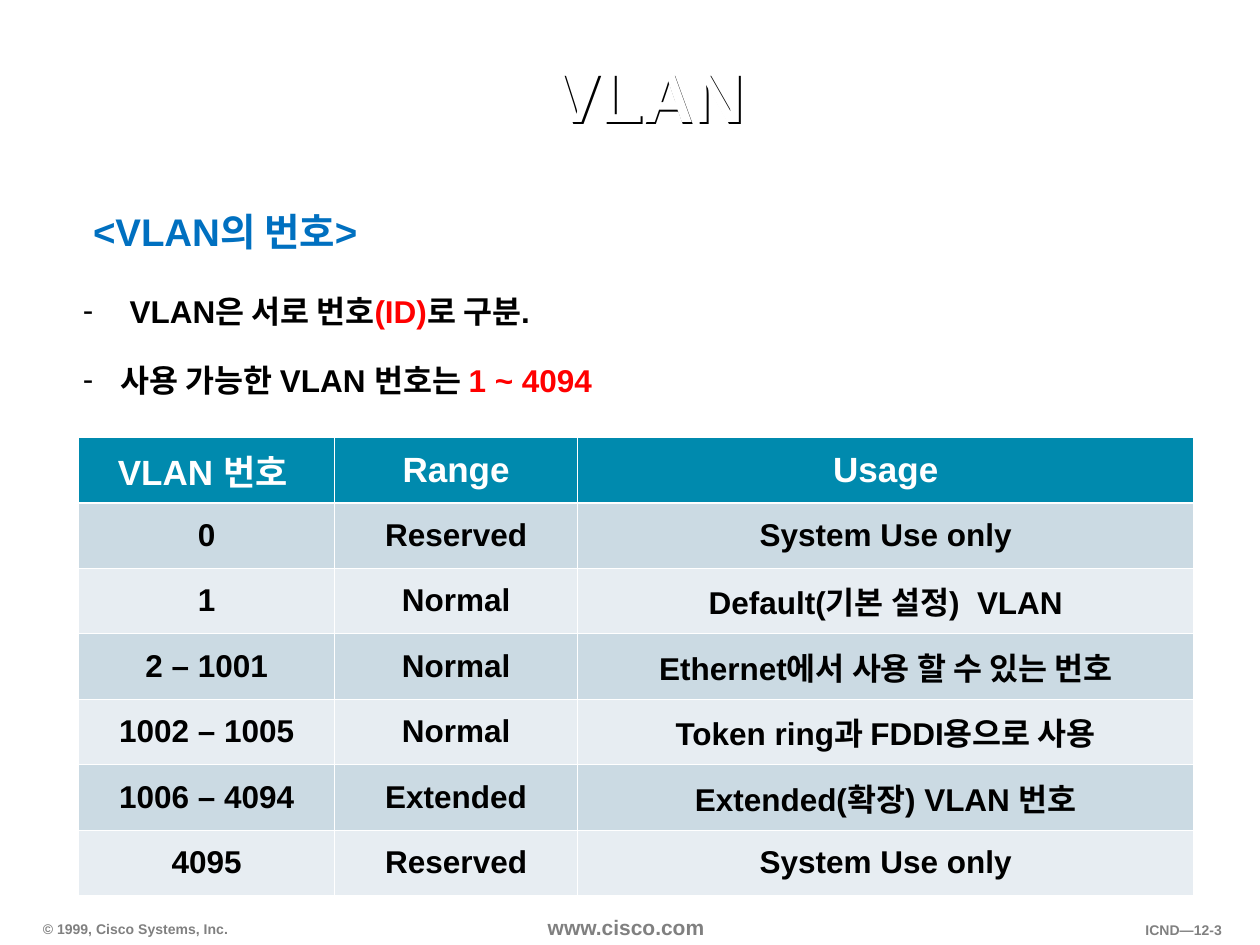
from dataclasses import dataclass

from lxml import etree
from pptx import Presentation
from pptx import util as u
from pptx.dml.color import RGBColor
from pptx.enum import text
from pptx.oxml import ns

UNIT = u.Inches(0.1)  # the slide is a grid of 100 columns by 75 rows
MID, TOP, LOW = (text.MSO_ANCHOR.MIDDLE, text.MSO_ANCHOR.TOP,
                 text.MSO_ANCHOR.BOTTOM)
LEFT, MIDST, RIGHT = (text.PP_ALIGN.LEFT, text.PP_ALIGN.CENTER,
                      text.PP_ALIGN.RIGHT)


@dataclass(frozen=True)
class Theme:
    face: str = "Arial"
    white: str = "FFFFFF"
    black: str = "000000"
    grey: str = "808080"
    blue: str = "0070C0"
    red: str = "FF0000"
    teal: str = "008AAE"
    bands: tuple = ("CBDAE3", "E7EDF2")
    title: int = 40
    lead: int = 22
    head: int = 20
    body: int = 18
    site: int = 12
    small: int = 8
    thin: float = 0.45
    thick: float = 1.5
    drop: float = 1.41


T = Theme()

HEAD = ("VLAN 번호 ", "Range", "Usage")
ROWS = (
    ("0", "Reserved", "System Use only"),
    ("1", "Normal", "Default(기본 설정)  VLAN"),
    ("2 – 1001", "Normal", "Ethernet에서 사용 할 수 있는 번호"),
    ("1002 – 1005", "Normal", "Token ring과 FDDI용으로 사용"),
    ("1006 – 4094", "Extended", "Extended(확장) VLAN 번호"),
    ("4095", "Reserved", "System Use only"),
)
PARTS = (2.03, 1.93, 4.89)  # relative column widths


def grid(*cells):
    return [int(n * UNIT) for n in cells]


def sub(node, tag, **attrs):
    return etree.SubElement(node, ns.qn(tag), **attrs)


def style(font, size, color):
    font.name, font.size, font.bold = T.face, u.Pt(size), True
    font.color.rgb = RGBColor.from_string(color)


def frame(shape, anchor=TOP, pad=(0.09, 0.04), wrap=True):
    tf = shape.text_frame
    tf.word_wrap, tf.vertical_anchor = wrap, anchor
    tf.margin_left = tf.margin_right = u.Inches(pad[0])
    tf.margin_top = tf.margin_bottom = u.Inches(pad[1])
    return tf


def write(para, words, size, color, align=LEFT):
    para.text, para.alignment = words, align
    style(para.font, size, color)


def shade(shape):
    """Give an unfilled box a hard black shadow, which its text casts."""
    shape.shadow.inherit = False
    glow = shape._element.spPr.find(ns.qn("a:effectLst"))
    drop = sub(glow, "a:outerShdw", dist=str(u.Pt(T.drop)), dir="2700000",
               algn="ctr", rotWithShape="0")
    sub(drop, "a:srgbClr", val=T.black)


def title(slide, box):
    shape = slide.shapes.add_textbox(*box)
    shade(shape)
    para = frame(shape, MID).paragraphs[0]
    para.line_spacing = 0.9
    write(para, "VLAN", T.title, T.white, MIDST)


def dash(para, inset):
    """Hang a dash before the paragraph, its text inset in inches."""
    props = para._p.get_or_add_pPr()
    gap = u.Inches(inset)
    props.set("marL", str(gap))
    props.set("indent", str(-gap))
    sub(sub(props, "a:buClr"), "a:srgbClr", val=T.black)
    sub(props, "a:buFont", typeface=T.face)
    sub(props, "a:buChar", char="-")


def points(slide, box):
    tf = frame(slide.shapes.add_textbox(*box), pad=(0.1, 0.05))
    lead = tf.paragraphs[0]
    lead._p.get_or_add_pPr().set("marL", str(u.Inches(0.08)))
    write(lead, "<VLAN의 번호>", T.lead, T.blue)
    items = (
        (0.37, 21.5, (("VLAN은 서로 번호", T.black), ("(ID)", T.red),
                      ("로 구분.", T.black))),
        (0.3, 18, (("사용 가능한 VLAN 번호는 ", T.black),
                   ("1 ~ 4094", T.red))),
    )
    for inset, space, parts in items:
        para = tf.add_paragraph()
        para.space_before = u.Pt(space)
        dash(para, inset)
        for words, color in parts:
            run = para.add_run()
            run.text = words
            style(run.font, T.body, color)


def edge(cell, **sides):
    """Draw white borders; each side gives its width in points."""
    props = cell._tc.get_or_add_tcPr()
    for spot, (side, width) in enumerate(sides.items()):
        line = etree.Element(ns.qn("a:ln" + side), w=str(u.Pt(width)))
        sub(sub(line, "a:solidFill"), "a:srgbClr", val=T.white)
        props.insert(spot, line)


def table(slide, box):
    data = (HEAD,) + ROWS
    tab = slide.shapes.add_table(len(data), len(HEAD), *box).table
    for col, part in zip(tab.columns, PARTS):
        col.width = int(box[2] * part / sum(PARTS))
    for r, row in enumerate(data):
        tab.rows[r].height = box[3] // len(data)
        fill = T.bands[(r - 1) % 2] if r else T.teal
        look = (T.body, T.black) if r else (T.head, T.white)
        for c, words in enumerate(row):
            cell = tab.cell(r, c)
            cell.vertical_anchor = MID
            cell.fill.solid()
            cell.fill.fore_color.rgb = RGBColor.from_string(fill)
            write(cell.text_frame.paragraphs[0], words, *look, MIDST)
            edge(cell, L=T.thin, R=T.thin,
                 T=T.thick if r == 1 else T.thin,
                 B=T.thin if r else T.thick)


def footer(slide, box):
    left, top, wide, high = box
    parts = (
        (0, 0.14, 0.18, 0.79, "© 1999, Cisco Systems, Inc.",
         T.small, LEFT, LOW, False),
        (0.42, 0, 0.16, 1, "www.cisco.com", T.site, LEFT, TOP, True),
        (0.87, 0.18, 0.13, 0.79, "ICND—12-3", T.small, RIGHT, TOP, False),
    )
    for x, y, w, h, words, size, align, anchor, wrap in parts:
        spot = [int(left + x * wide), int(top + y * high),
                int(w * wide), int(h * high)]
        tf = frame(slide.shapes.add_textbox(*spot), anchor, wrap=wrap)
        write(tf.paragraphs[0], words, size, T.grey, align)


def main():
    deck = Presentation()
    deck.slide_width, deck.slide_height = grid(100, 75)
    slide = deck.slides.add_slide(deck.slide_layouts[6])
    footer(slide, grid(2.5, 72.2, 95.4, 2.8))
    title(slide, grid(8, 1.7, 87, 12.5))
    points(slide, grid(5.6, 16, 97.9, 16.2))
    table(slide, grid(6.25, 34.7, 88.5, 36.4))
    deck.save("out.pptx")


if __name__ == "__main__":
    main()
